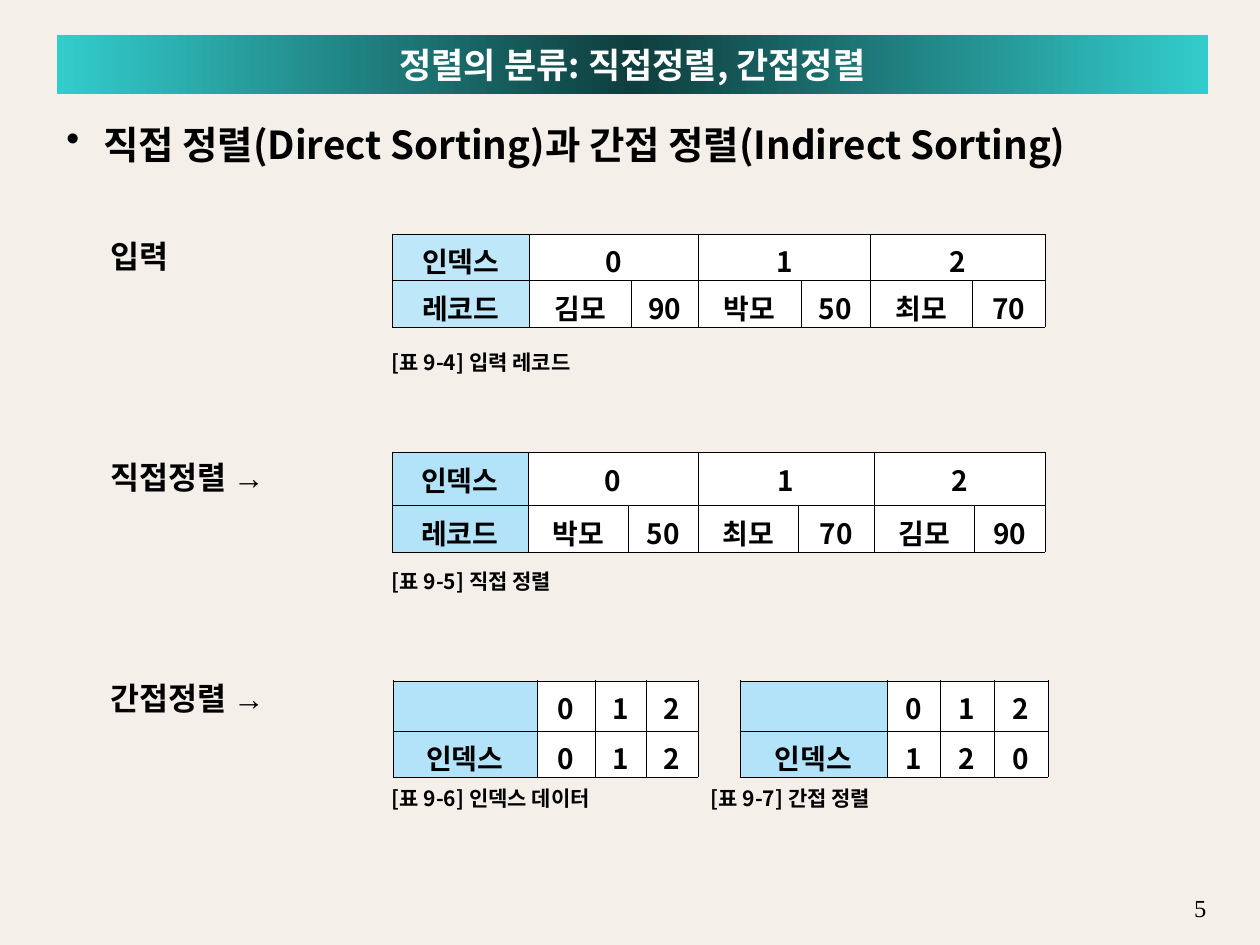
from copy import deepcopy

from lxml import etree
from pptx import Presentation
from pptx import util as u
from pptx.dml.color import RGBColor
from pptx.enum import shapes, text
from pptx.oxml import ns

BLACK = RGBColor(0x00, 0x00, 0x00)
WHITE = RGBColor(0xFF, 0xFF, 0xFF)
CREAM = RGBColor(0xF4, 0xEF, 0xE8)
TEAL = RGBColor(0x33, 0xCC, 0xCC)
DEEP_TEAL = RGBColor(0x0F, 0x3E, 0x3E)
PALE_BLUE = RGBColor(0xBE, 0xE7, 0xFA)
SKY_BLUE = RGBColor(0xB3, 0xE3, 0xF9)

KOREAN = "Noto Sans CJK KR"
TABLE_LEFT = 7.9
LABEL_TOP = 4.65
LABEL_STEP = 4.46


def write(para, content, size=16, color=BLACK, bold=True, font=KOREAN, align=text.PP_ALIGN.LEFT):
    para.alignment = align
    span = para.add_run()
    span.text = content
    span.font.size = u.Pt(size)
    span.font.bold = bold
    span.font.color.rgb = color
    span.font.name = font
    east_asian = etree.SubElement(span.font._element, ns.qn("a:ea"))
    east_asian.set("typeface", font)
    return span


class SlideBuilder:
    def __init__(self, deck):
        self.slide = deck.slides.add_slide(deck.slide_layouts[6])
        self.slide.background.fill.solid()
        self.slide.background.fill.fore_color.rgb = CREAM

    def text_box(self, left, top, width, height, content, inset=0.25, **style):
        box = self.slide.shapes.add_textbox(u.Cm(left), u.Cm(top), u.Cm(width), u.Cm(height))
        frame = box.text_frame
        frame.word_wrap = True
        frame.margin_left = u.Cm(inset)
        para = frame.paragraphs[0]
        write(para, content, **style)
        return para

    def title_bar(self, content):
        bar = self.slide.shapes.add_shape(
            shapes.MSO_SHAPE.RECTANGLE, u.Cm(1.14), u.Cm(0.71), u.Cm(23.22), u.Cm(1.19))
        bar.shadow.inherit = False
        bar.line.fill.background()
        bar.fill.gradient()
        bar.fill.gradient_angle = 0
        stops = bar.fill.gradient_stops
        stop_list = stops._gsLst
        stop_list.insert(1, deepcopy(stop_list[0]))
        for stop, position, color in zip(bar.fill.gradient_stops, (0, 0.5, 1), (TEAL, DEEP_TEAL, TEAL)):
            stop.position = position
            stop.color.rgb = color
        bar.text_frame.vertical_anchor = text.MSO_ANCHOR.MIDDLE
        write(bar.text_frame.paragraphs[0], content, size=20, color=WHITE, align=text.PP_ALIGN.CENTER)

    def heading(self, content):
        para = self.text_box(1.09, 2.31, 23.39, 1.4, content, size=22)
        props = para._p.get_or_add_pPr()
        props.set("marL", str(u.Cm(0.74)))
        props.set("indent", str(-u.Cm(0.74)))
        etree.SubElement(props, ns.qn("a:buChar")).set("char", "•")

    def row_label(self, index, content, arrow=""):
        para = self.text_box(1.97, LABEL_TOP + index * LABEL_STEP, 5, 1.17, content, size=18)
        if arrow:
            write(para, arrow, size=18, font="Arial")

    def caption(self, top, width, content, tab_stop=None):
        para = self.text_box(TABLE_LEFT, top, width, 0.76, content, inset=0, size=12)
        if tab_stop:
            tabs = etree.SubElement(para._p.get_or_add_pPr(), ns.qn("a:tabLst"))
            etree.SubElement(tabs, ns.qn("a:tab"), pos=str(u.Cm(tab_stop)), algn="l")

    def cell_borders(self, cell):
        props = cell._tc.get_or_add_tcPr()
        for place, side in enumerate(("lnL", "lnR", "lnT", "lnB")):
            line = etree.Element(ns.qn(f"a:{side}"), w=str(u.Pt(0.06)))
            fill = etree.SubElement(line, ns.qn("a:solidFill"))
            etree.SubElement(fill, ns.qn("a:srgbClr")).set("val", str(BLACK))
            props.insert(place, line)

    def table(self, left, top, widths, rows, header_color, heights=(0.93, 0.93), paired=False):
        frame = self.slide.shapes.add_table(
            len(rows), len(widths), u.Cm(left), u.Cm(top), u.Cm(sum(widths)), u.Cm(sum(heights)))
        table = frame.table
        table.first_row = table.horz_banding = False
        for column, width in zip(table.columns, widths):
            column.width = u.Cm(width)
        for row, height in zip(table.rows, heights):
            row.height = u.Cm(height)
        if paired:
            for start in range(1, len(widths), 2):
                table.cell(0, start).merge(table.cell(0, start + 1))
        for r, values in enumerate(rows):
            for c, value in enumerate(values):
                cell = table.cell(r, c)
                cell.fill.solid()
                cell.fill.fore_color.rgb = WHITE if c else header_color
                cell.vertical_anchor = text.MSO_ANCHOR.MIDDLE
                self.cell_borders(cell)
                if value:
                    write(cell.text_frame.paragraphs[0], value, align=text.PP_ALIGN.CENTER)


def main():
    deck = Presentation()
    deck.slide_width, deck.slide_height = u.Cm(25.4), u.Cm(19.05)
    page = SlideBuilder(deck)

    page.text_box(23.5, 17.88, 1.07, 0.43, "5", size=14, bold=False,
                  font="Times New Roman", align=text.PP_ALIGN.RIGHT)
    page.heading("직접 정렬(Direct Sorting)과 간접 정렬(Indirect Sorting)")
    page.row_label(0, "입력")
    page.row_label(1, "직접정렬 ", "→")
    page.row_label(2, "간접정렬 ", "→")
    page.title_bar("정렬의 분류: 직접정렬, 간접정렬")

    record_index = ["인덱스", "0", "", "1", "", "2", ""]
    page.table(TABLE_LEFT, 4.72, [2.77, 2.06, 1.35, 2.06, 1.4, 2.06, 1.47],
               [record_index, ["레코드", "김모", "90", "박모", "50", "최모", "70"]],
               PALE_BLUE, paired=True)
    page.table(TABLE_LEFT, 9.12, [2.74, 2.03, 1.4, 2.03, 1.52, 2.03, 1.42],
               [record_index, ["레코드", "박모", "50", "최모", "70", "김모", "90"]],
               SKY_BLUE, heights=(1.07, 0.93), paired=True)

    positions = ["", "0", "1", "2"]
    page.table(7.92, 13.72, [2.9, 1.17, 1.04, 1.04],
               [positions, ["인덱스", "0", "1", "2"]], SKY_BLUE)
    page.table(14.91, 13.72, [2.97, 1.07, 1.09, 1.09],
               [positions, ["인덱스", "1", "2", "0"]], SKY_BLUE)

    page.caption(15.72, 11.81, "[표 9-6] 인덱스 데이터\t[표 9-7] 간접 정렬", tab_stop=6.43)
    page.caption(6.93, 4.6, "[표 9-4] 입력 레코드")
    page.caption(11.33, 4.2, "[표 9-5] 직접 정렬")

    deck.save("out.pptx")


if __name__ == "__main__":
    main()
